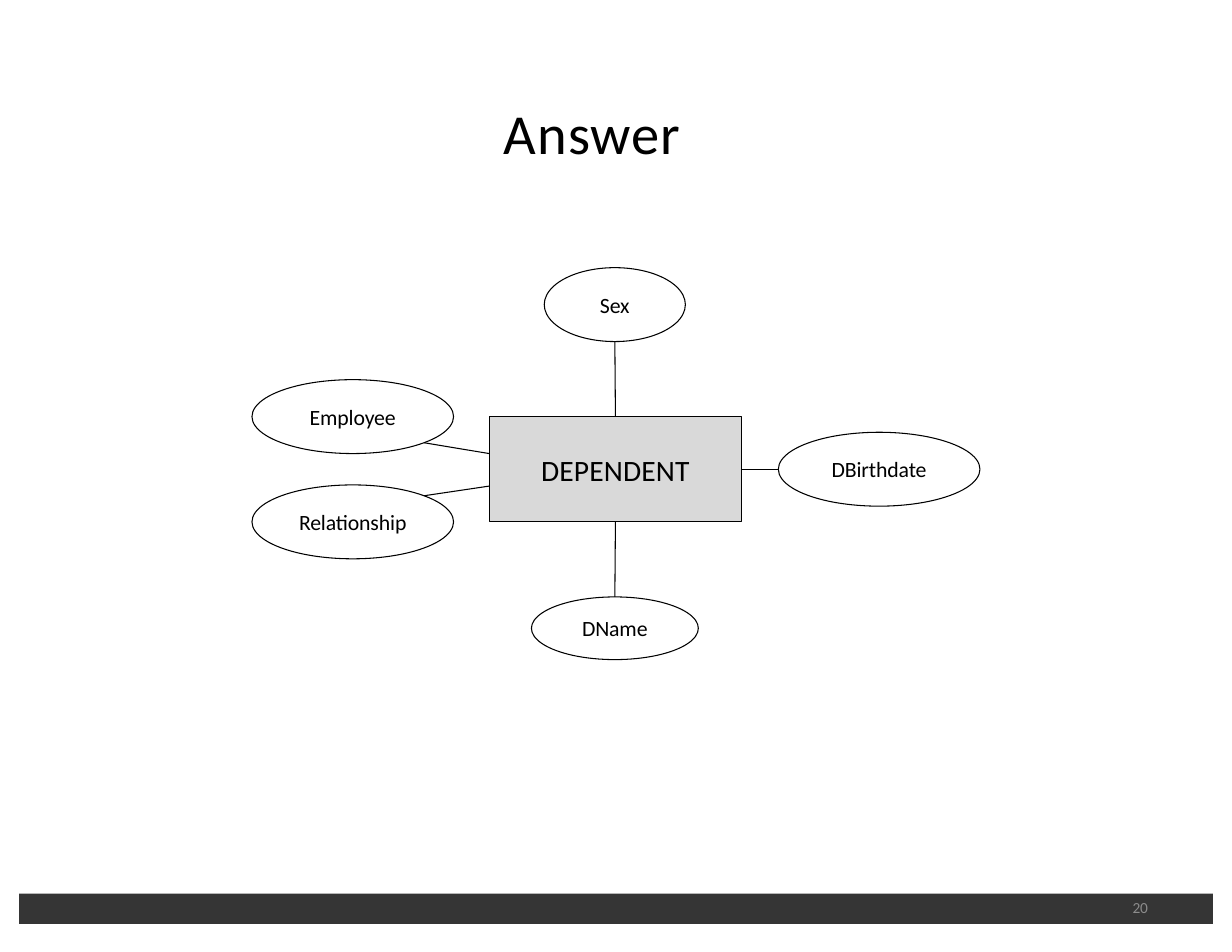
from math import sqrt

from lxml.etree import SubElement
from pptx import Presentation
from pptx.dml.color import RGBColor
from pptx.enum.shapes import MSO_CONNECTOR, MSO_SHAPE
from pptx.enum.text import MSO_ANCHOR, PP_ALIGN
from pptx.oxml.ns import qn
from pptx.util import Inches, Pt

# Content: lengths in inches, boxes as left, top, width, height
TITLE = ("Answer", (4.5, 0.82, 1.97, 0.72))
PAGE_NUMBER = ("20", (7.77, 7.88, 2.48, 0.45))
FOOTER_BOX = (0.17, 7.98, 10.66, 0.27)
ENTITY = ("DEPENDENT", (4.37, 3.72, 2.25, 0.94))

# Attribute: name, centre x, centre y, width, height,
# direction from its centre to the link, entity side (or None), entity point
DIAGONAL = 1 / sqrt(2)
ATTRIBUTES = [
    ("Employee", 3.15, 3.72, 1.8, 0.66, (DIAGONAL, DIAGONAL), None, (4.37, 4.05)),
    ("Sex", 5.49, 2.72, 1.26, 0.66, (0, 1), 0, (5.49, 3.72)),
    ("DName", 5.49, 5.61, 1.49, 0.56, (0, -1), 2, (5.49, 4.66)),
    ("DBirthdate", 7.85, 4.19, 1.8, 0.66, (-1, 0), 3, (6.62, 4.19)),
    ("Relationship", 3.15, 4.66, 1.8, 0.66, (DIAGONAL, -DIAGONAL), None, (4.37, 4.34)),
]
BLACK = "000000"
LINE_WIDTH = 0.67


def color(hex_value):
    return RGBColor.from_string(hex_value)


def write(shape, text, size, hex_value=BLACK, align=PP_ALIGN.CENTER, spacing=0):
    frame = shape.text_frame
    frame.text = text
    frame.word_wrap = True
    frame.vertical_anchor = MSO_ANCHOR.MIDDLE
    frame.margin_left = frame.margin_right = 0
    frame.margin_top = frame.margin_bottom = 0
    paragraph = frame.paragraphs[0]
    paragraph.alignment = align
    font = paragraph.runs[0].font
    font.name = "Calibri"
    font.size = Pt(size)
    font.color.rgb = color(hex_value)
    if spacing:
        paragraph.runs[0]._r.get_or_add_rPr().set("spc", str(spacing))


def add_box(slide, kind, box, fill=None, line_width=None):
    shape = slide.shapes.add_shape(kind, *map(Inches, box))
    shape.shadow.inherit = False
    if fill:
        shape.fill.solid()
        shape.fill.fore_color.rgb = color(fill)
    else:
        shape.fill.background()
    if line_width:
        shape.line.color.rgb = color(BLACK)
        shape.line.width = Pt(line_width)
    else:
        shape.line.fill.background()
    return shape


def add_link(slide, start, end, entity, side):
    link = slide.shapes.add_connector(
        MSO_CONNECTOR.STRAIGHT, *map(Inches, (*start, *end)))
    link.line.color.rgb = color(BLACK)
    link.line.width = Pt(LINE_WIDTH)
    SubElement(link._element.spPr, qn("a:effectLst"))
    if side is not None:
        link.end_connect(entity, side)


def main():
    prs = Presentation()
    prs.slide_width, prs.slide_height = Inches(11), Inches(8.5)
    slide = prs.slides.add_slide(prs.slide_layouts[6])

    # Footer bar, title and page number
    add_box(slide, MSO_SHAPE.RECTANGLE, FOOTER_BOX, "353535")
    text, box = TITLE
    title = slide.shapes.add_textbox(*map(Inches, box))
    write(title, text, 36.3, align=PP_ALIGN.LEFT, spacing=60)
    text, box = PAGE_NUMBER
    page_number = slide.shapes.add_textbox(*map(Inches, box))
    write(page_number, text, 9.9, "8C8C8C", PP_ALIGN.RIGHT)

    # Entity
    text, box = ENTITY
    entity = add_box(slide, MSO_SHAPE.RECTANGLE, box, "D9D9D9", 0.8)
    write(entity, text, 19, spacing=10)

    # Attributes, each linked to the entity
    for name, x, y, width, height, (dx, dy), side, entity_point in ATTRIBUTES:
        box = (x - width / 2, y - height / 2, width, height)
        attribute = add_box(slide, MSO_SHAPE.OVAL, box, line_width=LINE_WIDTH)
        write(attribute, name, 14, spacing=-10)
        start = (x + dx * width / 2, y + dy * height / 2)
        add_link(slide, start, entity_point, entity, side)

    prs.save("out.pptx")


if __name__ == "__main__":
    main()
